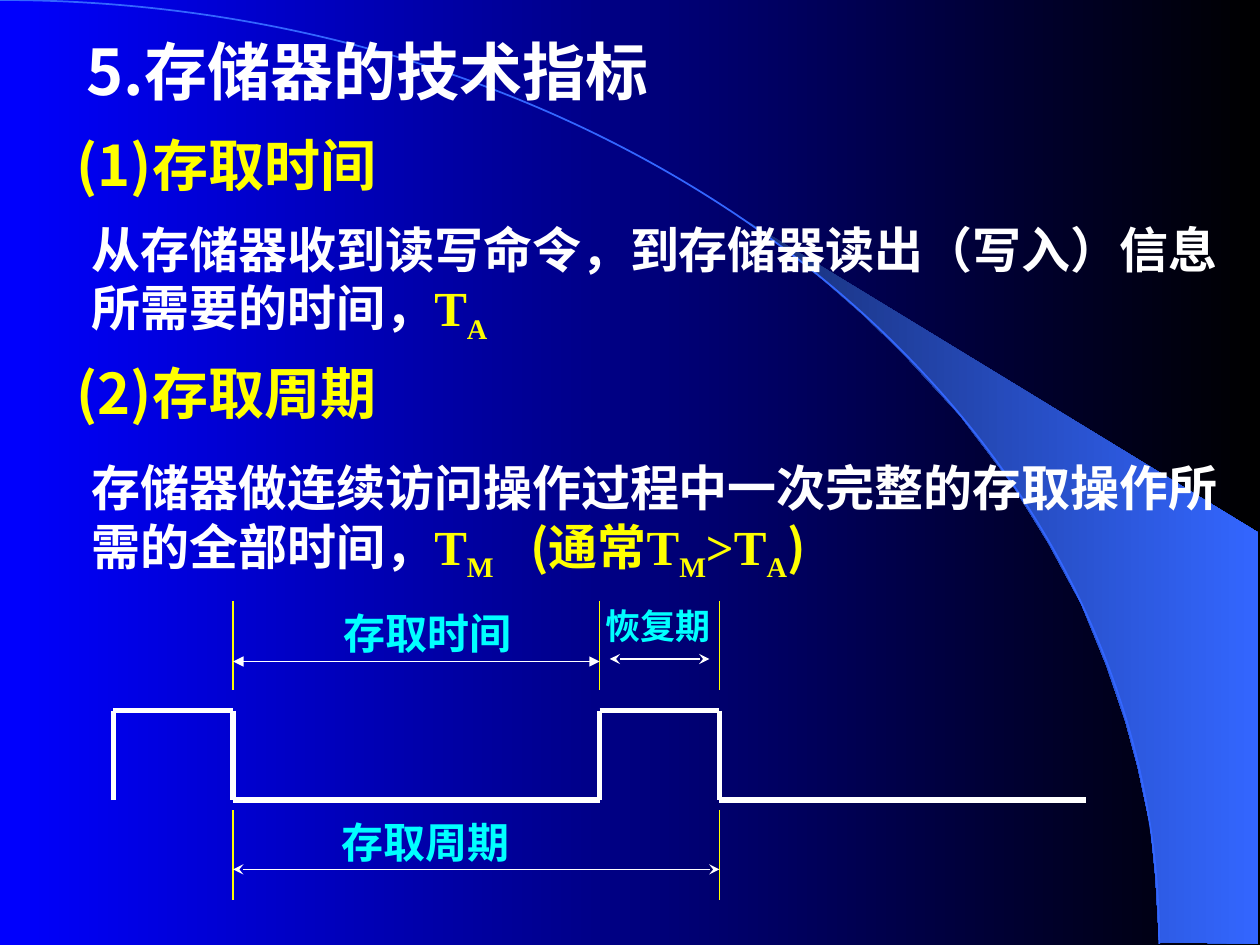
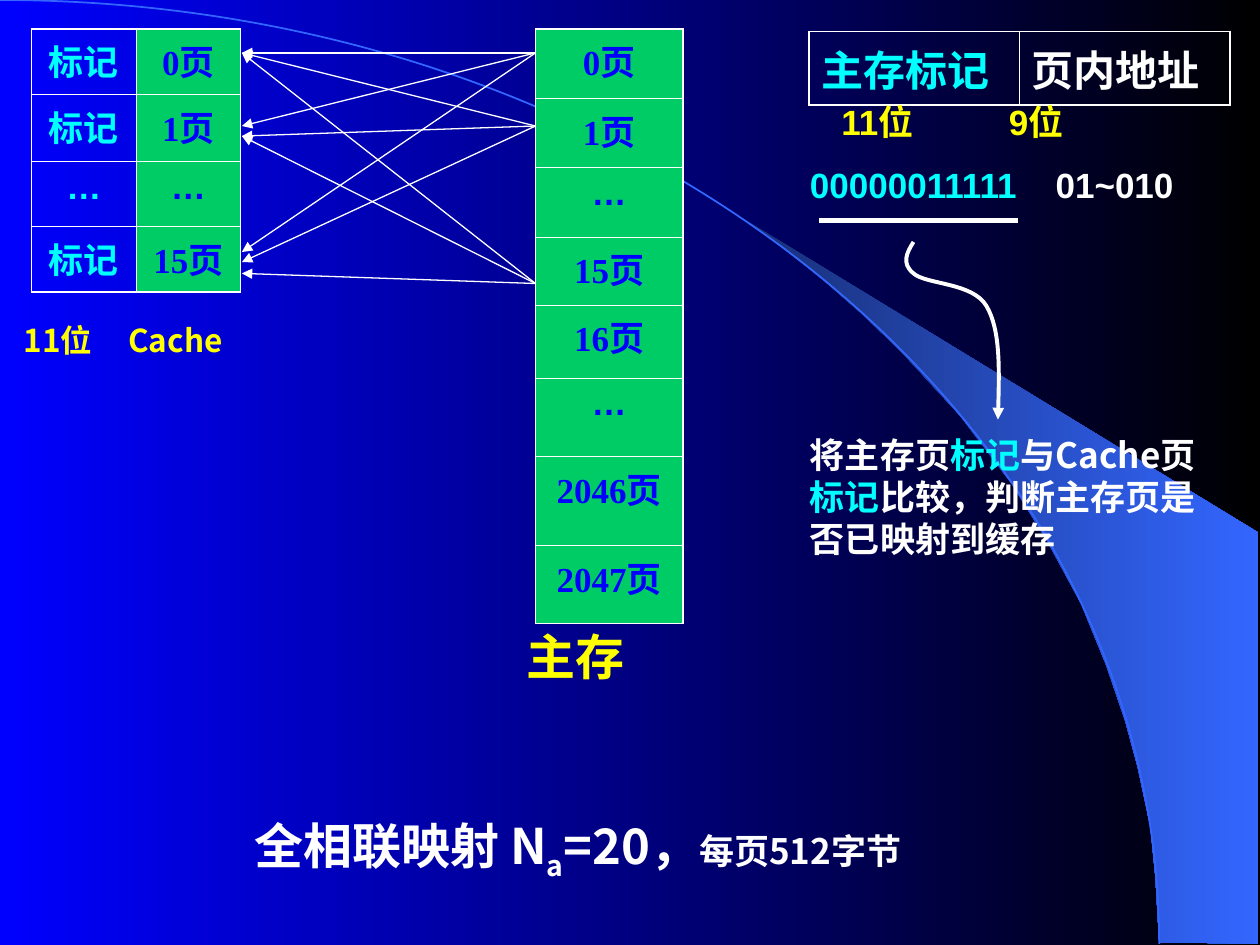
from dataclasses import dataclass
from itertools import pairwise
from typing import Any, NamedTuple, Optional

from lxml import etree
from pptx import Presentation
from pptx import util as u
from pptx.dml.color import RGBColor
from pptx.enum import shapes, text
from pptx.oxml import ns

PX = 9144  # EMU per px, 100 px to the inch

WHITE = RGBColor(0xFF, 0xFF, 0xFF)
BLACK = RGBColor(0x00, 0x00, 0x00)
BLUE = RGBColor(0x00, 0x00, 0xFF)
YELLOW = RGBColor(0xFF, 0xFF, 0x00)
CYAN = RGBColor(0x00, 0xFF, 0xFF)
GREEN = RGBColor(0x00, 0xCC, 0x66)
NAVY = RGBColor(0x18, 0x2F, 0x76)
AZURE = RGBColor(0x33, 0x66, 0xFF)

SANS, SERIF, ARIAL = "Noto Sans CJK SC", "Times New Roman", "Arial"
LEFT, CENTER = text.PP_ALIGN.LEFT, text.PP_ALIGN.CENTER
THIN, OUTLINE, CURVE, THICK = 0.75, 1, 2.25, 3
CELL_INNER, CELL_OUTER = 0.45, 1.08

Point = tuple[int, int]


class Run(NamedTuple):
    text: str
    color: RGBColor = WHITE
    size: int = 28
    font: str = SANS
    subscript: bool = False


@dataclass
class Label:
    left: int
    top: int
    width: int
    height: int
    runs: list[Run]
    align: Any = LEFT
    tab: Optional[int] = None


@dataclass
class Line:
    start: Point
    end: Point
    color: RGBColor = WHITE
    width: float = THIN
    head: Optional[str] = None
    tail: Optional[str] = None


@dataclass
class Cell:
    run: Run
    fill: Optional[RGBColor] = None


@dataclass
class Grid:
    left: int
    top: int
    columns: list[int]
    rows: list[int]
    cells: list[list[Cell]]
    align: Any = CENTER


def apply(target: Any, values: dict[str, Any]) -> None:
    for name, value in values.items():
        setattr(target, name, value)


def add_child(parent: Any, tag: str, **attributes: str) -> Any:
    return etree.SubElement(parent, ns.qn(tag), attributes)


def paint_gradient(fill: Any, first: RGBColor, last: RGBColor) -> None:
    fill.gradient()
    fill.gradient_angle = 0
    for stop, color in zip(fill.gradient_stops, (first, last)):
        stop.color.rgb = color


def style_line(shape: Any, color: RGBColor, width: float,
               head: Optional[str] = None, tail: Optional[str] = None) -> None:
    shape.line.color.rgb = color
    shape.line.width = u.Pt(width)
    outline = shape.element.spPr.find(ns.qn("a:ln"))
    for tag, kind in (("a:headEnd", head), ("a:tailEnd", tail)):
        if kind:
            add_child(outline, tag, type=kind)


# Text and tables

def write(paragraph: Any, runs: list[Run], align: Any, tab: Optional[int] = None) -> None:
    paragraph.alignment = align
    if tab:
        stops = add_child(paragraph._p.get_or_add_pPr(), "a:tabLst")
        add_child(stops, "a:tab", pos=str(tab * PX), algn="l")
    for item in runs:
        run = paragraph.add_run()
        run.text = item.text
        run.font.color.rgb = item.color
        apply(run.font, {"size": u.Pt(item.size), "bold": True, "name": item.font})
        properties = run.font._element
        add_child(properties, "a:ea", typeface=SANS)
        if item.subscript:
            properties.set("baseline", "-25000")


def add_label(slide: Any, label: Label) -> None:
    box = slide.shapes.add_textbox(label.left * PX, label.top * PX,
                                   label.width * PX, label.height * PX)
    box.text_frame.word_wrap = True
    write(box.text_frame.paragraphs[0], label.runs, label.align, label.tab)


def add_grid(slide: Any, grid: Grid) -> None:
    row_count, column_count = len(grid.rows), len(grid.columns)
    table = slide.shapes.add_table(row_count, column_count, grid.left * PX, grid.top * PX,
                                   sum(grid.columns) * PX, sum(grid.rows) * PX).table
    apply(table, {"first_row": False, "horz_banding": False})
    for column, width in zip(table.columns, grid.columns):
        column.width = width * PX
    for row, height in zip(table.rows, grid.rows):
        row.height = height * PX
    for i, line in enumerate(grid.cells):
        for j, item in enumerate(line):
            cell = table.cell(i, j)
            write(cell.text_frame.paragraphs[0], [item.run], grid.align)
            if item.fill is None:
                cell.fill.background()
            else:
                cell.fill.solid()
                cell.fill.fore_color.rgb = item.fill
            outer = {"L": j == 0, "R": j == column_count - 1,
                     "T": i == 0, "B": i == row_count - 1}
            for position, (side, is_outer) in enumerate(outer.items()):
                width = u.Pt(CELL_OUTER if is_outer else CELL_INNER)
                border = etree.Element(ns.qn(f"a:ln{side}"), w=str(int(width)))
                add_child(add_child(border, "a:solidFill"), "a:srgbClr", val=str(WHITE))
                cell._tc.get_or_add_tcPr().insert(position, border)


# Lines and outlines

def add_line(slide: Any, line: Line) -> None:
    ends = [value * PX for value in (*line.start, *line.end)]
    connector = slide.shapes.add_connector(shapes.MSO_CONNECTOR.STRAIGHT, *ends)
    style_line(connector, line.color, line.width, line.head, line.tail)
    add_child(connector.element.spPr, "a:effectLst")


def add_outline(slide: Any, points: list[Point], closed: bool) -> Any:
    builder = slide.shapes.build_freeform(*points[0], scale=PX)
    builder.add_line_segments(points[1:], close=closed)
    shape = builder.convert_to_shape()
    shape.shadow.inherit = False
    return shape


def add_curve(slide: Any, points: list[Point], width: float, color: RGBColor,
              tail: Optional[str] = None) -> None:
    """Draw a Bezier curve: a start, then two controls and an end per piece."""
    shape = add_outline(slide, points, closed=False)
    shape.fill.background()
    outline = shape.element.find(".//" + ns.qn("a:path"))
    steps = outline.findall(ns.qn("a:lnTo"))
    for k in range(0, len(steps), 3):
        piece = add_child(outline, "a:cubicBezTo")
        for step in steps[k:k + 3]:
            piece.append(step[0])
            outline.remove(step)
    style_line(shape, color, width, tail=tail)


# Shared backdrop

CRESCENT = [(920, 748), (999, 749), (999, 423), (589, 173), (624, 199), (653, 222),
            (685, 250), (716, 280), (762, 330), (803, 384), (832, 431), (858, 479),
            (878, 528), (893, 572), (903, 609), (913, 656), (917, 696)]
ARC = [(0, 0), (508, 0), (920, 335), (920, 749)]


def new_slide(presentation: Any) -> Any:
    slide = presentation.slides.add_slide(presentation.slide_layouts[6])
    paint_gradient(slide.background.fill, BLUE, BLACK)
    crescent = add_outline(slide, CRESCENT, closed=True)
    paint_gradient(crescent.fill, NAVY, AZURE)
    crescent.line.fill.background()
    add_curve(slide, ARC, OUTLINE, AZURE)
    return slide


# Slide 1: access time and access cycle

def symbol(name: str, index: str) -> list[Run]:
    return [Run(name, YELLOW, font=SERIF), Run(index, YELLOW, font=SERIF, subscript=True)]


def build_timing(presentation: Any) -> None:
    slide = new_slide(presentation)
    add_label(slide, Label(59, 21, 583, 70, [Run("5.存储器的技术指标", size=36)]))
    for top, heading in ((99, "(1)存取时间"), (280, "(2)存取周期")):
        add_label(slide, Label(51, top, 400, 64, [Run(heading, YELLOW, 32)]))
    access = [Run("从存储器收到读写命令，到存储器读出（写入）信息所需要的时间，"), *symbol("T", "A")]
    cycle = [Run("存储器做连续访问操作过程中一次完整的存取操作所需的全部时间，"), *symbol("T", "M"),
             Run("\t(通常", YELLOW), *symbol("T", "M"), *symbol(">T", "A"), Run(")", YELLOW)]
    add_label(slide, Label(63, 169, 925, 110, access))
    add_label(slide, Label(63, 358, 925, 110, cycle, tab=348))

    # Pulse train
    rise, fall, second_rise, second_fall, end = 90, 185, 476, 571, 862
    high, low = 564, 635
    pulse = [(rise, low), (rise, high), (fall, high), (fall, low), (second_rise, low),
             (second_rise, high), (second_fall, high), (second_fall, low), (end, low)]
    for start, stop in pairwise(pulse):
        add_line(slide, Line(start, stop, width=THICK))

    # Extension lines and dimensions
    above, below, tick = 477, 643, 71
    for x, top in ((fall, above), (second_rise, above), (second_fall, above),
                   (fall, below), (second_fall, below)):
        add_line(slide, Line((x, top), (x, top + tick), YELLOW))
    for left, right, y, arrow in ((fall, second_rise, 525, "triangle"),
                                  (484, 563, 523, "stealth"),
                                  (fall, second_fall, 690, "stealth")):
        add_line(slide, Line((left, y), (right, y), head=arrow, tail=arrow))
    for left, top, height, caption, size in ((242, 477, 50, "存取时间", 24),
                                             (425, 475, 44, "恢复期", 20),
                                             (240, 643, 50, "存取周期", 24)):
        add_label(slide, Label(left, top, 195, height, [Run(caption, CYAN, size)], CENTER))


# Slide 2: fully associative mapping

def page_cell(caption: str, color: RGBColor, fill: Optional[RGBColor] = None) -> Cell:
    return Cell(Run(caption, color, 20, ARIAL if caption == "…" else SERIF), fill)


def build_mapping(presentation: Any) -> None:
    slide = new_slide(presentation)

    # Cache, main memory and address tables
    cache_rows = [("标记", "0页"), ("标记", "1页"), ("…", "…"), ("标记", "15页")]
    add_grid(slide, Grid(25, 23, [83, 83], [52, 53, 52, 52], [
        [page_cell(tag, CYAN), page_cell(page, BLUE, GREEN)] for tag, page in cache_rows]))
    pages = ["0页", "1页", "…", "15页", "16页", "…", "2046页", "2047页"]
    add_grid(slide, Grid(425, 23, [117], [55, 55, 55, 54, 58, 62, 71, 62],
                         [[page_cell(page, BLUE, GREEN)] for page in pages]))
    fields = [("主存标记", CYAN), ("页内地址", WHITE)]
    add_grid(slide, Grid(642, 25, [167, 167], [50], [
        [Cell(Run(field, color, 24, SERIF)) for field, color in fields]], LEFT))

    # Every memory page may go to every cache page
    memory_edge, cache_edge = 425, 192
    targets = {42: (42, 100, 200), 225: (42, 108, 217), 100: (42, 108, 208)}
    for source, ends in targets.items():
        for target in ends:
            add_line(slide, Line((memory_edge, source), (cache_edge, target), tail="triangle"))

    # Captions
    comparison = [Run("将主存页", size=20), Run("标记", CYAN, 20), Run("与Cache页", size=20),
                  Run("标记", CYAN, 20), Run("比较，判断主存页是否已映射到缓存", size=20)]
    address = [Run("00000011111", CYAN, 20, ARIAL), Run("\t01~010", WHITE, 20, ARIAL)]
    summary = [Run("全相联映射 N"), Run("a", subscript=True), Run("=20，"),
               Run("每页512字节", size=20)]
    for label in (
        Label(9, 250, 199, 70, [Run("11位\tCache", YELLOW, 18)], tab=83),
        Label(408, 492, 142, 57, [Run("主存", YELLOW)]),
        Label(658, 75, 283, 44, [Run("11位\t9位", YELLOW, 20, ARIAL)], tab=133),
        Label(633, 125, 350, 44, address, tab=195),
        Label(633, 339, 350, 110, comparison),
        Label(192, 642, 692, 63, summary),
    ):
        add_label(slide, label)

    # Underlined tag leads to the comparison
    add_line(slide, Line((650, 175), (808, 175), width=THICK))
    add_curve(slide, [(725, 192), (720, 200), (715, 209), (725, 217), (735, 226),
                      (772, 224), (783, 243), (794, 262), (793, 298), (792, 333)],
              CURVE, WHITE, tail="triangle")


def main() -> None:
    presentation = Presentation()
    apply(presentation, {"slide_width": 1000 * PX, "slide_height": 750 * PX})
    build_timing(presentation)
    build_mapping(presentation)
    presentation.save("out.pptx")


if __name__ == "__main__":
    main()
